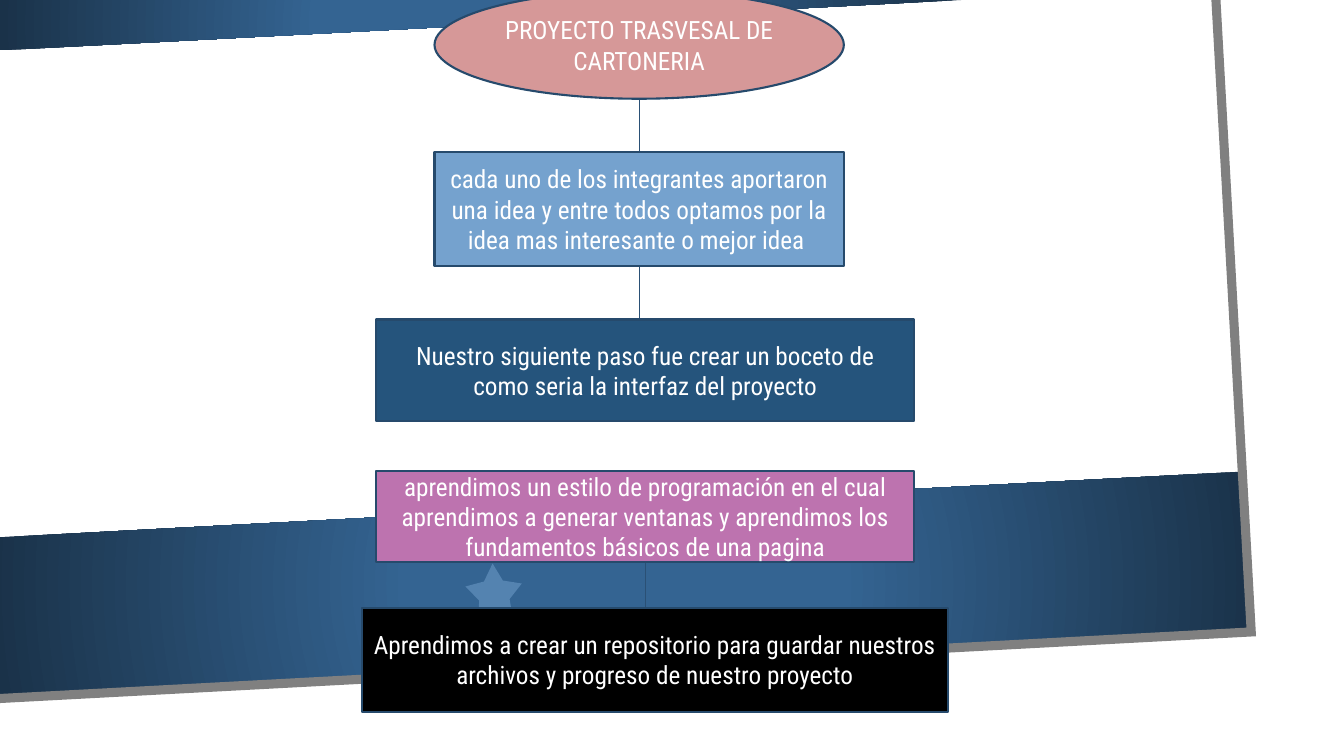
"""Builds the project flow slide: five linked steps over a tilted blue banner."""
from lxml.etree import SubElement
from pptx import Presentation
from pptx.dml.color import RGBColor
from pptx.enum.shapes import MSO_CONNECTOR, MSO_SHAPE
from pptx.enum.text import MSO_ANCHOR, PP_ALIGN
from pptx.oxml import parse_xml
from pptx.oxml.ns import nsdecls, qn
from pptx.util import Pt

PX = 9144
COLORS = {
    "white": "FFFFFF", "band": "346492", "band_edge": "1A3249", "frame": "808080",
    "sky": "75A2CE", "navy": "25547C", "orchid": "BD73AF", "black": "000000",
    "rose": "D69898", "outline": "264A6C", "link": "2A5075",
}
BAND_FILL = f"""<a:gradFill {nsdecls("a")} rotWithShape="1"><a:gsLst>
<a:gs pos="34000"><a:srgbClr val="{COLORS["band"]}"/></a:gs>
<a:gs pos="100000"><a:srgbClr val="{COLORS["band_edge"]}"/></a:gs></a:gsLst>
<a:path path="circle"><a:fillToRect l="50000" t="50000" r="50000" b="50000"/></a:path>
</a:gradFill>"""


def add_outline(page, points, close=True):
    builder = page.shapes.build_freeform(*points[0], scale=PX)
    builder.add_line_segments(points[1:], close=close)
    shape = builder.convert_to_shape()
    shape.shadow.inherit = False
    shape.line.fill.background()
    return shape


def add_step(page, text, kind, fill, left, top, width, height):
    box = page.shapes.add_shape(kind, left * PX, top * PX, width * PX, height * PX)
    box.shadow.inherit = False
    box.fill.solid()
    box.fill.fore_color.rgb = RGBColor.from_string(COLORS[fill])
    box.line.color.rgb = RGBColor.from_string(COLORS["outline"])
    box.line.width = Pt(1.5)
    frame = box.text_frame
    frame.word_wrap = True
    frame.vertical_anchor = MSO_ANCHOR.MIDDLE
    para = frame.paragraphs[0]
    para.alignment = PP_ALIGN.CENTER
    span = para.add_run()
    span.text = text
    span.font.name = "Roboto Condensed"
    span.font.size = Pt(18)
    span.font.color.rgb = RGBColor.from_string(COLORS["white"])


deck = Presentation()
deck.slide_width, deck.slide_height = 1333 * PX, 750 * PX
page = deck.slides.add_slide(deck.slide_layouts[6])

paper = add_outline(page, [(0, 0), (1236, 0), (1276, 654), (0, 720)])
paper.fill.solid()
paper.fill.fore_color.rgb = RGBColor.from_string(COLORS["white"])

for corners in (
    [(0, 533), (1230, 468), (1239, 624), (0, 690)],
    [(0, 0), (954, 0), (0, 50)],
):
    band = add_outline(page, corners)
    band.fill.background()
    properties = band.element.spPr
    properties.replace(properties.find(qn("a:noFill")), parse_xml(BAND_FILL))

border = add_outline(page, [(1206, 0), (1241, 627), (0, 693)], close=False)
border.fill.background()
border.line.color.rgb = RGBColor.from_string(COLORS["frame"])
border.line.width = Pt(6.5)
SubElement(border.line._get_or_add_ln(), qn("a:miter"), lim="800000")

star = page.shapes.add_shape(MSO_SHAPE.STAR_5_POINT, 462 * PX, 559 * PX, 56 * PX, 56 * PX)
star.shadow.inherit = False
star.rotation = 357
star.adjustments[0] = 0.27
star.fill.solid()
star.fill.fore_color.rgb = RGBColor.from_string(COLORS["sky"])
SubElement(star.element.spPr.find(qn("a:solidFill"))[0], qn("a:alpha"), val="50000")
star.line.fill.background()

for x, top, bottom in ((634, 86, 151), (634, 264, 330), (640, 559, 603)):
    link = page.shapes.add_connector(
        MSO_CONNECTOR.STRAIGHT, x * PX, top * PX, x * PX, bottom * PX)
    link.line.color.rgb = RGBColor.from_string(COLORS["link"])
    link.line.width = Pt(0.75)
    SubElement(link.element.spPr, qn("a:effectLst"))

STEPS = (
    ("cada uno de los integrantes aportaron una idea y entre todos optamos por la "
     "idea mas interesante o mejor idea ",
     MSO_SHAPE.RECTANGLE, "sky", 431, 151, 406, 113),
    ("Nuestro siguiente paso fue crear un boceto de como seria la interfaz del proyecto",
     MSO_SHAPE.RECTANGLE, "navy", 373, 317, 534, 101),
    ("aprendimos un estilo de programación en el cual aprendimos a generar ventanas "
     "y aprendimos los fundamentos básicos de una pagina",
     MSO_SHAPE.RECTANGLE, "orchid", 373, 467, 534, 91),
    ("Aprendimos a crear un repositorio para guardar nuestros archivos y progreso "
     "de nuestro proyecto",
     MSO_SHAPE.RECTANGLE, "black", 359, 603, 581, 103),
    ("PROYECTO TRASVESAL DE CARTONERIA",
     MSO_SHAPE.OVAL, "rose", 431, -9, 406, 107),
)
for text, kind, fill, left, top, width, height in STEPS:
    add_step(page, text, kind=kind, fill=fill, left=left, top=top, width=width, height=height)

deck.save("out.pptx")
